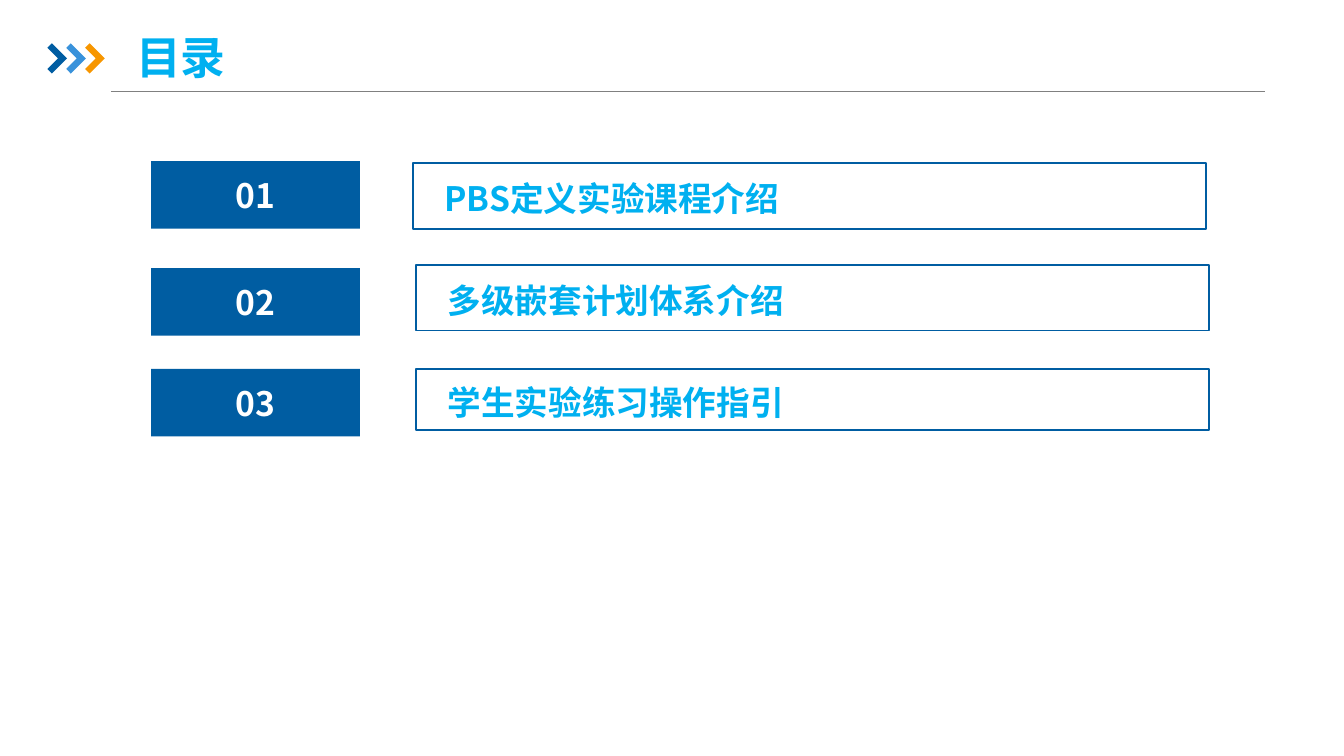
from dataclasses import dataclass

from lxml import etree
from pptx import Presentation
from pptx import util as u
from pptx.dml.color import RGBColor
from pptx.enum import shapes, text
from pptx.oxml import ns


@dataclass(frozen=True)
class Theme:
    font: str = "Noto Sans CJK SC"
    navy: str = "005DA2"
    blue: str = "3992DB"
    orange: str = "F79600"
    sky: str = "00B0F0"
    grey: str = "808080"
    white: str = "FFFFFF"
    title_size: int = 32
    item_size: int = 24
    rule_width: float = 0.75
    frame_width: float = 1.25


class Page:
    """One slide measured in grid columns and rows of a tenth of an inch."""

    def __init__(self, deck, theme):
        self.theme = theme
        self.slide = deck.slides.add_slide(deck.slide_layouts[5])  # title only

    def cells(self, *values):
        return [u.Inches(value / 10) for value in values]

    def add_words(self, box, words, size, color, align, **frame_format):
        frame = box.text_frame
        frame_format = {
            "word_wrap": True,
            "auto_size": text.MSO_AUTO_SIZE.NONE,
            "vertical_anchor": text.MSO_ANCHOR.MIDDLE,
            **frame_format,
        }
        for name, value in frame_format.items():
            setattr(frame, name, value)
        para = frame.paragraphs[0]
        para.alignment = align
        span = para.add_run()
        span.text = words
        font_format = {"name": self.theme.font, "size": u.Pt(size), "bold": True}
        for name, value in font_format.items():
            setattr(span.font, name, value)
        span.font.color.rgb = RGBColor.from_string(color)
        # East Asian typeface
        east_asian = etree.SubElement(span._r.get_or_add_rPr(), ns.qn("a:ea"))
        east_asian.set("typeface", self.theme.font)

    def paint(self, shape, fill=None, line=None):
        shape.shadow.inherit = False
        if fill:
            shape.fill.solid()
            shape.fill.fore_color.rgb = RGBColor.from_string(fill)
        else:
            shape.fill.background()
        if line:
            shape.line.color.rgb = RGBColor.from_string(line)
            shape.line.width = u.Pt(self.theme.frame_width)
        else:
            shape.line.fill.background()

    def title(self, words, *place):
        box = self.slide.shapes.title
        for name, value in zip(("left", "top", "width", "height"), self.cells(*place)):
            setattr(box, name, value)
        self.add_words(box, words, self.theme.title_size, self.theme.sky, text.PP_ALIGN.LEFT)

    def rule(self, *ends):
        rule = self.slide.shapes.add_connector(shapes.MSO_CONNECTOR.STRAIGHT, *self.cells(*ends))
        rule.line.color.rgb = RGBColor.from_string(self.theme.grey)
        rule.line.width = u.Pt(self.theme.rule_width)
        etree.SubElement(rule._element.spPr, ns.qn("a:effectLst"))

    def chevron(self, left, top, color):
        outline = [(0, 0.45), (0.45, 0), (1.95, 1.5), (0.45, 3), (0, 2.55), (1.05, 1.5)]
        points = [self.cells(left + x, top + y) for x, y in outline]
        builder = self.slide.shapes.build_freeform(*points[0])
        builder.add_line_segments(points[1:], close=True)
        self.paint(builder.convert_to_shape(), fill=color)

    def rectangle(self, place, **colors):
        box = self.slide.shapes.add_shape(shapes.MSO_SHAPE.RECTANGLE, *self.cells(*place))
        self.paint(box, **colors)
        return box

    def number(self, words, *place):
        box = self.rectangle(place, fill=self.theme.navy)
        self.add_words(box, words, self.theme.item_size, self.theme.white, text.PP_ALIGN.CENTER)

    def topic(self, words, *place):
        box = self.rectangle(place, line=self.theme.navy)
        self.add_words(box, words, self.theme.item_size, self.theme.sky, text.PP_ALIGN.LEFT,
                       margin_left=u.Inches(0.31), margin_top=u.Inches(0.05), margin_bottom=0)


def main():
    deck = Presentation()
    deck.slide_width, deck.slide_height = u.Inches(13.33), u.Inches(7.5)
    theme = Theme()
    page = Page(deck, theme)

    # Heading: rule, chevrons and title
    page.rule(11, 9.1, 125.5, 9.1)
    for index, color in enumerate((theme.navy, theme.blue, theme.orange)):
        page.chevron(4.7 + 1.87 * index, 4.3, color)
    page.title("目录", 12.5, 2.9, 55.2, 5.5)

    # Contents: number top, then topic left, top and height
    contents = [
        ("PBS定义实验课程介绍", 16, 41, 16.2, 6.5),
        ("多级嵌套计划体系介绍", 26.6, 41.3, 26.3, 6.5),
        ("学生实验练习操作指引", 36.6, 41.3, 36.6, 6.1),
    ]
    for index, (words, number_top, left, top, height) in enumerate(contents, start=1):
        page.number(f"{index:02}", 15, number_top, 20.7, 6.7)
        page.topic(words, left, top, 78.6, height)

    deck.save("out.pptx")


if __name__ == "__main__":
    main()
